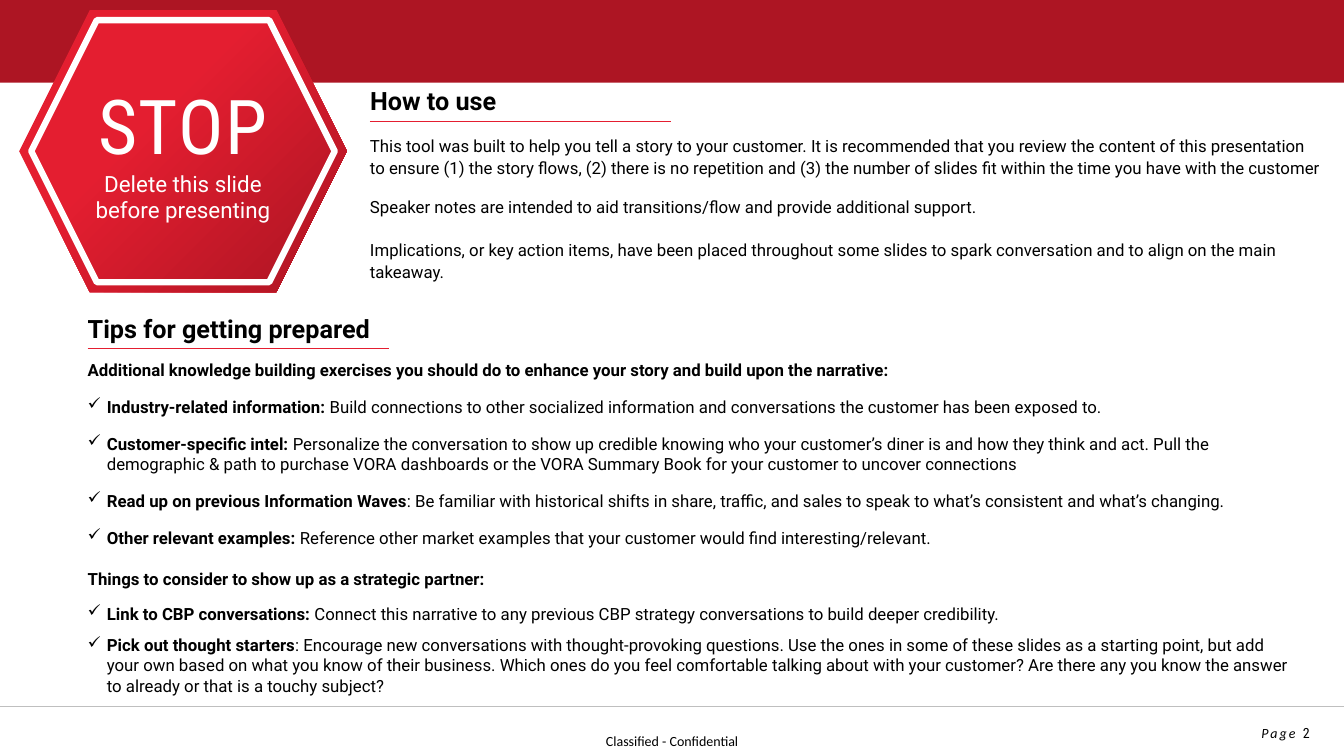
from lxml import etree
from pptx import Presentation
from pptx.dml.color import RGBColor
from pptx.enum.shapes import MSO_CONNECTOR, MSO_SHAPE
from pptx.enum.text import MSO_ANCHOR, PP_ALIGN
from pptx.oxml.ns import qn
from pptx.util import Inches, Pt

LEFT, CENTER, RIGHT = PP_ALIGN.LEFT, PP_ALIGN.CENTER, PP_ALIGN.RIGHT
TOP, MIDDLE = MSO_ANCHOR.TOP, MSO_ANCHOR.MIDDLE
STRAIGHT = MSO_CONNECTOR.STRAIGHT
RED, DARK_RED, GREY, BLACK, WHITE = "E41E30", "AD1523", "BFBFBF", "000000", "FFFFFF"
WIDTH, HEIGHT = 13.33, 7.5
HANGING = 0.19

# heading, left, top
HEADINGS = [
    ("How to use", 3.67, 0.88),
    ("Tips for getting prepared", 0.87, 3.14),
]
HEADING_WIDTH, RULE_DROP = 2.99, 0.32

# text, space before, space after
HOW_TO_USE = [
    ("This tool was built to help you tell a story to your customer. It is recommended that you "
     "review the content of this presentation to ensure (1) the story flows, (2) there is no "
     "repetition and (3) the number of slides fit within the time you have with the customer", 0, 12),
    ("Speaker notes are intended to aid transitions/flow and provide additional support.", 0, 12),
    ("Implications, or key action items, have been placed throughout some slides to spark "
     "conversation and to align on the main takeaway.", 2.7, 3),
]

# bold lead, plain rest (a checked item when present), space before, space after
TIPS = [
    ("Additional knowledge building exercises you should do to enhance your story and build upon "
     "the narrative:", "", 0, 12),
    ("Industry-related information:",
     " Build connections to other socialized information and conversations the customer has been "
     "exposed to.", 0, 12),
    ("Customer-specific intel: ",
     "Personalize the conversation to show up credible knowing who your customer’s diner is and "
     "how they think and act. Pull the demographic & path to purchase VORA dashboards or the VORA "
     "Summary Book for your customer to uncover connections", 0, 12),
    ("Read up on previous Information Waves",
     ": Be familiar with historical shifts in share, traffic, and sales to speak to what’s "
     "consistent and what’s changing.", 0, 12),
    ("Other relevant examples: ",
     "Reference other market examples that your customer would find interesting/relevant.", 0, 12),
    ("Things to consider to show up as a strategic partner:", "", 2.7, 8),
    ("Link to CBP conversations: ",
     "Connect this narrative to any previous CBP strategy conversations to build deeper "
     "credibility.", 2.7, 8),
    ("Pick out thought starters",
     ": Encourage new conversations with thought-provoking questions. Use the ones in some of "
     "these slides as a starting point, but add your own based on what you know of their business. "
     "Which ones do you feel comfortable talking about with your customer? Are there any you know "
     "the answer to already or that is a touchy subject?", 0, 12),
]

# text, size, font, letter spacing
STOP_SIGN = [
    ("STOP", 54, "Roboto Condensed", 1),
    ("Delete this slide before presenting", 16, "Roboto", 0),
]
SIGN_PLATES = [(0.19, 0.1, 3.25, 2.8), (0.31, 0.2, 3.01, 2.6)]
GRADIENT = [(0.38, RED), (1, DARK_RED)]

# text, font, italic, letter spacing
PAGE_NUMBER = [("Page ", "Calibri", True, 1.5), ("2", "Roboto Condensed", False, 3)]


def paint(color_format, hex_color):
    color_format.rgb = RGBColor.from_string(hex_color)


def set_font(font, name, size, color=BLACK, bold=False):
    font.name, font.size, font.bold = name, Pt(size), bold
    paint(font.color, color)


def set_tracking(run, points):
    run.font._element.set("spc", str(round(points * 100)))


def text_frame(left, top, width, height, anchor=TOP, inset=True):
    frame = slide.shapes.add_textbox(*map(Inches, (left, top, width, height))).text_frame
    frame.word_wrap, frame.vertical_anchor = True, anchor
    if not inset:
        frame.margin_left = frame.margin_top = frame.margin_right = frame.margin_bottom = 0
    return frame


def add_paragraph(frame, index, before=0, after=0, align=LEFT, line_spacing=1.0):
    """Use the frame's first paragraph for index 0, a new one otherwise."""
    paragraph = frame.add_paragraph() if index else frame.paragraphs[0]
    paragraph.alignment, paragraph.line_spacing = align, line_spacing
    paragraph.space_after = Pt(after)
    if before:
        paragraph.space_before = Pt(before)
    return paragraph


def add_check(paragraph):
    properties = paragraph._p.get_or_add_pPr()
    properties.set("marL", str(Inches(HANGING)))
    properties.set("indent", str(-Inches(HANGING)))
    etree.SubElement(properties, qn("a:buChar")).set("char", "✓")


def add_rule(left, top, width, color):
    rule = slide.shapes.add_connector(
        STRAIGHT, Inches(left), Inches(top), Inches(left + width), Inches(top))
    paint(rule.line.color, color)
    rule.line.width = Pt(0.5)
    etree.SubElement(rule._element.spPr, qn("a:effectLst"))


def add_plate(group, box):
    plate = group.shapes.add_shape(MSO_SHAPE.HEXAGON, *map(Inches, box))
    plate.shadow.inherit = False
    plate.fill.gradient()
    plate.fill.gradient_angle = 315
    for stop, (position, color) in zip(plate.fill.gradient_stops, GRADIENT):
        stop.position = position
        paint(stop.color, color)
    plate.line.fill.background()
    return plate


prs = Presentation()
prs.slide_width, prs.slide_height = Inches(WIDTH), Inches(HEIGHT)
slide = prs.slides.add_slide(prs.slide_layouts[6])

# Footer
classified = add_paragraph(text_frame(5.84, 7.21, 1.65, 0.29, MIDDLE, False), 0, align=CENTER)
classified.text = "Classified - Confidential"
set_font(classified.font, "Calibri", 10)

page = add_paragraph(text_frame(9.86, 7.14, 3.23, 0.27, MIDDLE), 0, align=RIGHT)
for text, font_name, italic, tracking in PAGE_NUMBER:
    run = page.add_run()
    run.text = text
    set_font(run.font, font_name, 10)
    run.font.italic = italic
    set_tracking(run, tracking)
add_rule(0, 7.01, WIDTH, GREY)

# Top band
band = slide.shapes.add_shape(MSO_SHAPE.RECTANGLE, 0, 0, Inches(WIDTH), Inches(0.82))
band.shadow.inherit = False
band.fill.solid()
paint(band.fill.fore_color, DARK_RED)
band.line.fill.background()

# Headings with their rules
for title, left, top in HEADINGS:
    heading = add_paragraph(
        text_frame(left, top, HEADING_WIDTH, 0.32, inset=False), 0, line_spacing=0.9)
    heading.text = title
    set_font(heading.font, "Roboto", 18, bold=True)
    add_rule(left, top + RULE_DROP, HEADING_WIDTH, RED)

# Body text
how_frame = text_frame(3.67, 1.33, 9.44, 1.47, inset=False)
for index, (text, before, after) in enumerate(HOW_TO_USE):
    guidance = add_paragraph(how_frame, index, before, after, line_spacing=1.1)
    guidance.text = text
    set_font(guidance.font, "Roboto", 12)

tips_frame = text_frame(0.87, 3.57, 12.04, 3.74, inset=False)
for index, (lead, rest, before, after) in enumerate(TIPS):
    tip = add_paragraph(tips_frame, index, before, after)
    if rest:
        add_check(tip)
    set_font(tip.font, "Roboto", 12)
    lead_run = tip.add_run()
    lead_run.text = lead
    lead_run.font.bold = True
    if rest:
        tip.add_run().text = rest

# Stop sign
sign = slide.shapes.add_group_shape()
outer, inner = [add_plate(sign, box) for box in SIGN_PLATES]
inner.line.width = Pt(4.5)
inner.line.fill.solid()
paint(inner.line.color, WHITE)
inner.text_frame.word_wrap, inner.text_frame.vertical_anchor = True, MIDDLE
for index, (text, size, font_name, tracking) in enumerate(STOP_SIGN):
    message = add_paragraph(inner.text_frame, index, align=CENTER)
    set_font(message.font, font_name, size, WHITE)
    run = message.add_run()
    run.text = text
    set_tracking(run, tracking)

prs.save("out.pptx")
